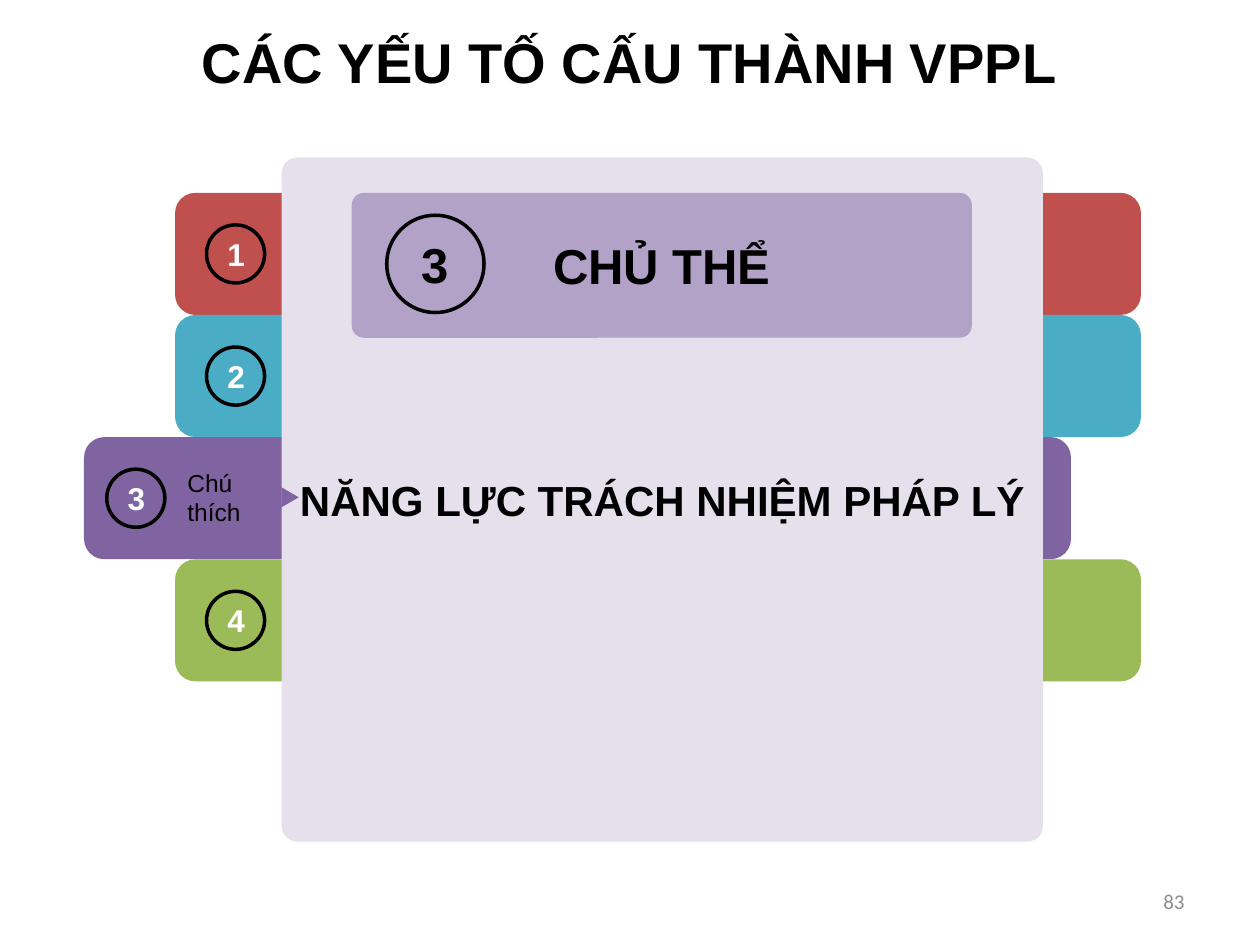
from pptx import Presentation
from pptx.dml.color import RGBColor
from pptx.enum.shapes import MSO_SHAPE
from pptx.enum.text import MSO_ANCHOR, PP_ALIGN
from pptx.util import Pt

ROUNDED, OVAL, TRIANGLE = MSO_SHAPE.ROUNDED_RECTANGLE, MSO_SHAPE.OVAL, MSO_SHAPE.ISOSCELES_TRIANGLE
TOP, MIDDLE = MSO_ANCHOR.TOP, MSO_ANCHOR.MIDDLE
LEFT, CENTER, RIGHT = PP_ALIGN.LEFT, PP_ALIGN.CENTER, PP_ALIGN.RIGHT

BAR_TOP, BAR_HEIGHT, BADGE = 110.2, 69.8, 33.2
PURPLE = "8064A2"
BARS = [
    ("1", "C0504D", 100, 552, 118),
    ("2", "4BACC6", 100, 552, 118),
    ("3", PURPLE, 48, 564, 61),
    ("4", "9BBB59", 100, 552, 118),
]


def rgb(color):
    """Turn a hex string into a colour."""
    return RGBColor.from_string(color)


def write(sp, text, size, color="000000", bold=True, align=CENTER,
          anchor=MIDDLE, font="Arial", wrap=True):
    """Put one formatted paragraph into a shape."""
    tf = sp.text_frame
    tf.word_wrap = wrap
    tf.vertical_anchor = anchor
    p = tf.paragraphs[0]
    p.text = text
    p.alignment = align
    p.font.name = font
    p.font.size = Pt(size)
    p.font.bold = bold
    p.font.color.rgb = rgb(color)


def add_block(s, kind, box, fill, radius=None):
    """Add a filled shape without outline."""
    sp = s.shapes.add_shape(kind, *map(Pt, box))
    sp.shadow.inherit = False
    sp.fill.solid()
    sp.fill.fore_color.rgb = rgb(fill)
    sp.line.fill.background()
    if radius is not None:
        sp.adjustments[0] = radius
    return sp


def add_badge(s, left, top, diameter, number, size, color):
    """Add a number in an outlined circle."""
    sp = s.shapes.add_shape(OVAL, Pt(left), Pt(top), Pt(diameter), Pt(diameter))
    sp.shadow.inherit = False
    sp.fill.background()
    sp.line.color.rgb = rgb("000000")
    sp.line.width = Pt(2)
    write(sp, number, size, color)


def add_label(s, box, text, size, **style):
    """Add a text box."""
    sp = s.shapes.add_textbox(*map(Pt, box))
    write(sp, text, size, **style)


def add_title(s, box, text):
    """Place and format the title placeholder."""
    sp = s.shapes.title
    sp.left, sp.top, sp.width, sp.height = map(Pt, box)
    write(sp, text, 32, anchor=TOP, wrap=False)


def add_bars(s):
    """Stack the numbered bars."""
    for i, (number, fill, left, width, badge_left) in enumerate(BARS):
        top = BAR_TOP + i * BAR_HEIGHT
        add_block(s, ROUNDED, (left, top, width, BAR_HEIGHT), fill)
        badge_top = top + (BAR_HEIGHT - BADGE) / 2
        add_badge(s, badge_left, badge_top, BADGE, number, 18, "FFFFFF")


def add_panel(s):
    """Add the detail panel with its heading."""
    panel = add_block(s, ROUNDED, (161, 90, 435, 391), "E6E0EC", 0.023)
    write(panel, "NĂNG LỰC TRÁCH NHIỆM PHÁP LÝ", 24)
    heading = add_block(s, ROUNDED, (201, BAR_TOP, 354.4, 82.8), "B3A2C7", 0.084)
    write(heading, "CHỦ THỂ", 28)
    add_badge(s, 221, 123, 55.6, "3", 28, "000000")


def main():
    """Build and save the slide."""
    prs = Presentation()
    prs.slide_width, prs.slide_height = Pt(720), Pt(540)
    s = prs.slides.add_slide(prs.slide_layouts[5])
    add_title(s, (106, 12.2, 507.6, 46), "CÁC YẾU TỐ CẤU THÀNH VPPL")
    add_bars(s)
    add_panel(s)
    add_label(s, (100, 263.5, 57.6, 41), "Chú thích", 14, bold=False, align=LEFT)
    pointer = add_block(s, TRIANGLE, (160, 279.2, 11.5, 10), PURPLE)
    pointer.rotation = 90
    add_label(s, (516, 500.4, 168, 28.8), "83", 12, color="8C8C8C",
              bold=False, align=RIGHT, font="Calibri")
    prs.save("out.pptx")


if __name__ == "__main__":
    main()
